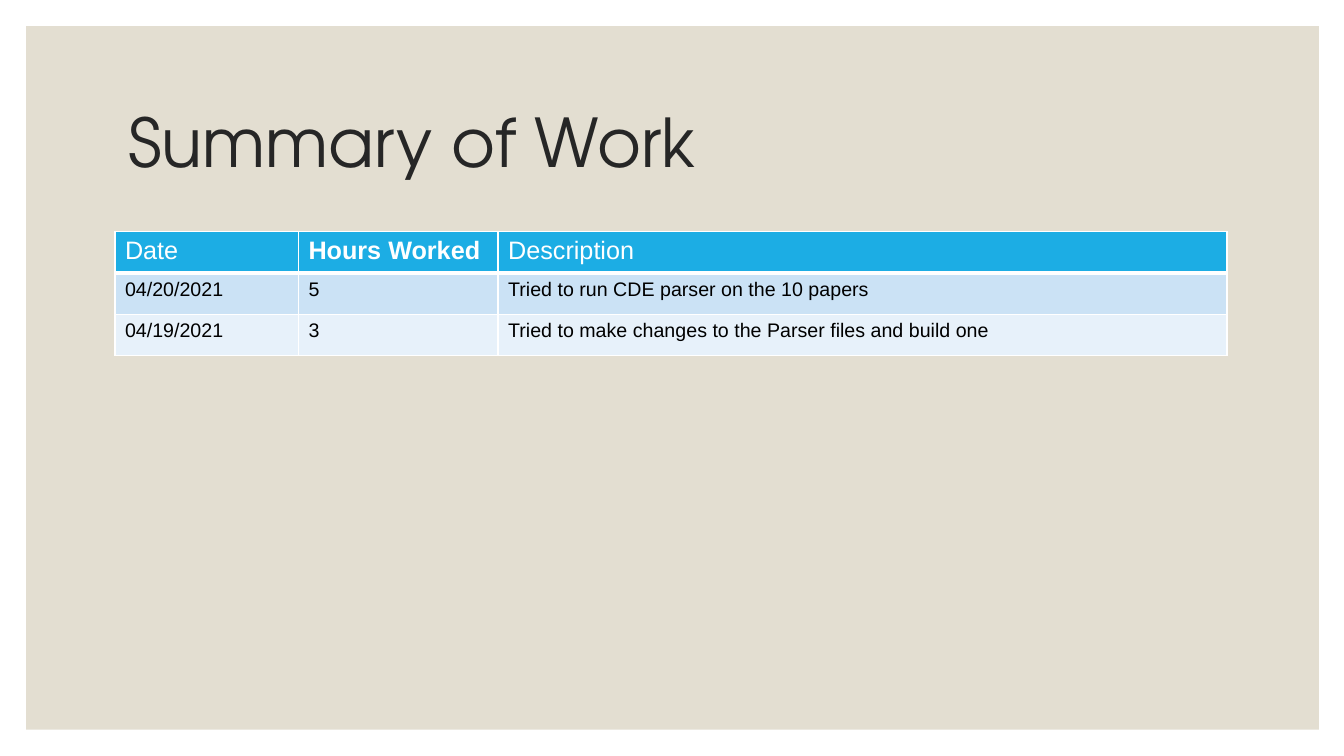
import pptx
import pptx.util
import pptx.dml.color
import pptx.enum.shapes
import pptx.enum.text
import pptx.oxml
import pptx.oxml.ns

Inches = pptx.util.Inches
Pt = pptx.util.Pt
RGBColor = pptx.dml.color.RGBColor

WHITE = RGBColor(0xFF, 0xFF, 0xFF)
BLACK = RGBColor(0x00, 0x00, 0x00)
SAND = RGBColor(0xE3, 0xDE, 0xD1)
CHARCOAL = RGBColor(0x26, 0x26, 0x26)
HEADER_BLUE = RGBColor(0x1C, 0xAD, 0xE4)
BAND_BLUE = RGBColor(0xCB, 0xE2, 0xF5)
PALE_BLUE = RGBColor(0xE7, 0xF1, 0xFA)

ROWS = [
    ("Date", "Hours Worked", "Description"),
    ("04/20/2021", "5", "Tried to run CDE parser on the 10 papers"),
    ("04/19/2021", "3", "Tried to make changes to the Parser files and build one"),
]
ROW_FILLS = [HEADER_BLUE, BAND_BLUE, PALE_BLUE]
COLUMN_WIDTHS = [1.82, 1.98, 7.23]
ROW_HEIGHT = 0.41


def set_borders(cell, widths):
    properties = cell._tc.get_or_add_tcPr()
    for position, (side, width) in enumerate(widths.items()):
        border = pptx.oxml.parse_xml(
            f'<a:ln{side} {pptx.oxml.ns.nsdecls("a")} w="{Pt(width)}">'
            f'<a:solidFill><a:srgbClr val="{WHITE}"/></a:solidFill></a:ln{side}>'
        )
        properties.insert(position, border)


presentation = pptx.Presentation()
presentation.slide_width = Inches(13.33)
presentation.slide_height = Inches(7.5)
slide = presentation.slides.add_slide(presentation.slide_layouts[5])
slide.background.fill.solid()
slide.background.fill.fore_color.rgb = WHITE

title = slide.shapes.title
title.left, title.top = Inches(1.17), Inches(0.7)
title.width, title.height = Inches(11), Inches(1.5)
title.text_frame.text = "Summary of Work"
title.text_frame.vertical_anchor = pptx.enum.text.MSO_ANCHOR.MIDDLE
paragraph = title.text_frame.paragraphs[0]
paragraph.alignment = pptx.enum.text.PP_ALIGN.LEFT
paragraph.line_spacing = 0.9
paragraph.font.name = "TeX Gyre Adventor"
paragraph.font.size = Pt(48)
paragraph.font.color.rgb = CHARCOAL

panel = slide.shapes.add_shape(
    pptx.enum.shapes.MSO_SHAPE.RECTANGLE,
    Inches(0.26), Inches(0.26), Inches(12.82), Inches(6.98),
)
panel.shadow.inherit = False
panel.fill.solid()
panel.fill.fore_color.rgb = SAND
panel.line.fill.background()
title._element.addprevious(panel._element)

table = slide.shapes.add_table(
    len(ROWS), len(COLUMN_WIDTHS), Inches(1.14), Inches(2.3),
    Inches(sum(COLUMN_WIDTHS)), Inches(ROW_HEIGHT * len(ROWS)),
).table
for column, width in zip(table.columns, COLUMN_WIDTHS):
    column.width = Inches(width)

for row_index, (texts, fill) in enumerate(zip(ROWS, ROW_FILLS)):
    table.rows[row_index].height = Inches(ROW_HEIGHT)
    is_header = row_index == 0
    for column_index, text in enumerate(texts):
        cell = table.cell(row_index, column_index)
        cell.text = text
        cell.fill.solid()
        cell.fill.fore_color.rgb = fill
        set_borders(cell, {
            "L": 1,
            "R": 1,
            "T": 3 if row_index == 1 else 1,
            "B": 3 if is_header else 1,
        })
        font = cell.text_frame.paragraphs[0].font
        font.name = "Arial"
        font.size = Pt(18 if is_header else 14)
        font.bold = text == "Hours Worked"
        font.color.rgb = WHITE if is_header else BLACK

presentation.save("out.pptx")
